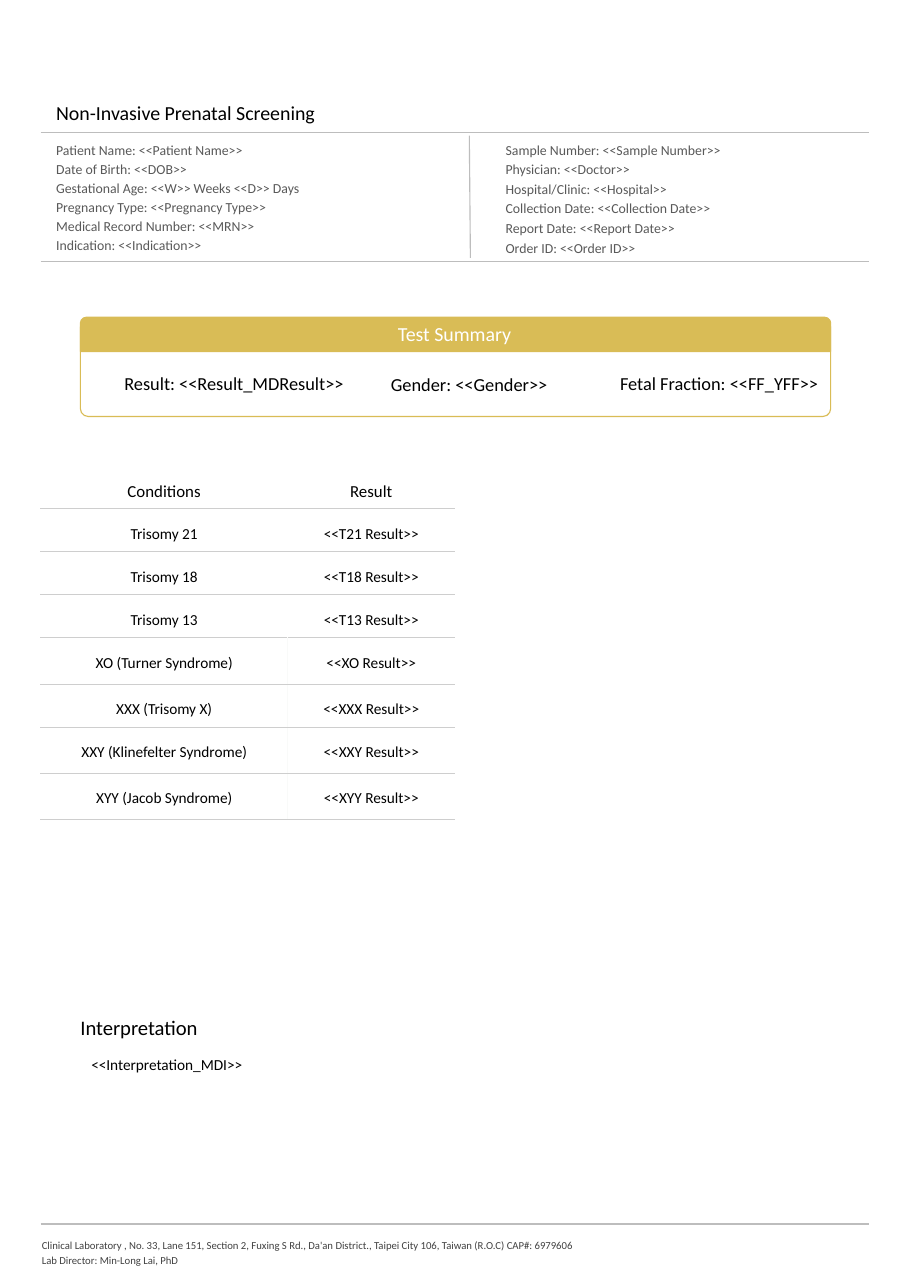
from dataclasses import dataclass

from lxml.etree import SubElement
from pptx import Presentation
from pptx.dml.color import RGBColor
from pptx.enum.shapes import MSO_CONNECTOR, MSO_SHAPE
from pptx.enum.text import MSO_ANCHOR, MSO_AUTO_SIZE, PP_ALIGN
from pptx.oxml import parse_xml
from pptx.oxml.ns import nsdecls, qn
from pptx.util import Inches, Pt


@dataclass(frozen=True)
class Theme:
    """Colours, font and type sizes of the report."""
    font: str = "Calibri"
    black: str = "000000"
    white: str = "FFFFFF"
    detail: str = "595959"
    footer: str = "414141"
    gold: str = "D9BC56"
    rule: str = "BDBDBD"
    row_rule: str = "CECECE"
    column_rule: str = "F9FAF9"
    line_width: float = 0.75
    title_size: float = 13
    heading_size: float = 13.5
    summary_size: float = 12
    header_size: float = 11
    body_size: float = 10
    detail_size: float = 9
    footer_size: float = 7


THEME = Theme()
LEFT, RIGHT = 0.37, 7.89
PANEL_LEFT, PANEL_WIDTH = 0.73, 6.81

PATIENT = [
    "Patient Name: <<Patient Name>>",
    "Date of Birth: <<DOB>>",
    "Gestational Age: <<W>> Weeks <<D>> Days",
    "Pregnancy Type: <<Pregnancy Type>>",
    "Medical Record Number: <<MRN>>",
    "Indication: <<Indication>>",
]
SAMPLE = [
    "Sample Number: <<Sample Number>>",
    "Physician: <<Doctor>>",
    "Hospital/Clinic: <<Hospital>>",
    "Collection Date: <<Collection Date>>",
    "Report Date: <<Report Date>>",
    "Order ID: <<Order ID>>",
]
FOOTER = [
    "Clinical Laboratory , No. 33, Lane 151, Section 2, Fuxing S Rd., Da'an District., "
    "Taipei City 106, Taiwan (R.O.C) CAP#: 6979606",
    "Lab Director: Min-Long Lai, PhD",
]
CONDITIONS = [
    ("Conditions", "Result", 0.37),
    ("Trisomy 21", "<<T21 Result>>", 0.39),
    ("Trisomy 18", "<<T18 Result>>", 0.39),
    ("Trisomy 13", "<<T13 Result>>", 0.39),
    ("XO (Turner Syndrome)", "<<XO Result>>", 0.42),
    ("XXX (Trisomy X)", "<<XXX Result>>", 0.39),
    ("XXY (Klinefelter Syndrome)", "<<XXY Result>>", 0.42),
    ("XYY (Jacob Syndrome)", "<<XYY Result>>", 0.42),
]
FIRST_SEX_ROW = 4


def inches(*lengths):
    """Convert several lengths to Inches."""
    return [Inches(length) for length in lengths]


def style_paragraph(paragraph, size, color, align=PP_ALIGN.LEFT, spacing=1.0):
    """Set alignment, line spacing and font of one paragraph."""
    paragraph.alignment = align
    paragraph.line_spacing = spacing
    font = paragraph.font
    font.name, font.size = THEME.font, Pt(size)
    font.color.rgb = RGBColor.from_string(color)


def fill_frame(frame, lines, size, color, insets=(0.01, 0.01, 0, 0), gap=0, wrap=True, **style):
    """Write lines into a top-anchored frame, with a gap in points between them."""
    frame.word_wrap = wrap
    frame.auto_size = MSO_AUTO_SIZE.NONE
    frame.vertical_anchor = MSO_ANCHOR.TOP
    frame.margin_left, frame.margin_top, frame.margin_right, frame.margin_bottom = inches(*insets)
    for index, line in enumerate(lines):
        paragraph = frame.add_paragraph() if index else frame.paragraphs[0]
        paragraph.text = line
        paragraph.space_before = Pt(gap if index else 0)
        style_paragraph(paragraph, size, color, **style)


def add_text(slide, box, lines, size, color, **options):
    """Add a text box."""
    fill_frame(slide.shapes.add_textbox(*inches(*box)).text_frame, lines, size, color, **options)


def add_title(slide, text):
    """Move and format the title placeholder."""
    title = slide.shapes.title
    title.left, title.top, title.width, title.height = inches(0.5, 0.89, 3.74, 0.23)
    fill_frame(title.text_frame, [text], THEME.title_size, THEME.black, insets=(0.01, 0.02, 0, 0))


def add_rule(slide, x1, y1, x2, y2):
    """Add a thin grey line."""
    rule = slide.shapes.add_connector(MSO_CONNECTOR.STRAIGHT, *inches(x1, y1, x2, y2))
    rule.line.color.rgb = RGBColor.from_string(THEME.rule)
    rule.line.width = Pt(THEME.line_width)
    SubElement(rule._element.spPr, qn("a:effectLst"))


def add_panel(slide, kind, top, height, radius, filled):
    """Add a gold rounded panel, filled or outlined."""
    panel = slide.shapes.add_shape(kind, *inches(PANEL_LEFT, top, PANEL_WIDTH, height))
    panel.shadow.inherit = False
    panel.adjustments[0] = radius
    gold = RGBColor.from_string(THEME.gold)
    if filled:
        panel.fill.solid()
        panel.fill.fore_color.rgb = gold
    else:
        panel.fill.background()
    panel.line.color.rgb = gold
    panel.line.width = Pt(THEME.line_width)


def add_summary(slide):
    """Add the test summary panel with its three values."""
    add_panel(slide, MSO_SHAPE.ROUNDED_RECTANGLE, 2.9, 0.88, 0.08, filled=False)
    add_panel(slide, MSO_SHAPE.ROUND_2_SAME_RECTANGLE, 2.88, 0.31, 0.17, filled=True)
    add_text(slide, (2.49, 2.82, 3.27, 0.42), ["Test Summary"], THEME.title_size, THEME.white,
             insets=(0.1,) * 4, align=PP_ALIGN.CENTER)
    for left, top, width, value, wrap in [
        (1.03, 3.33, 2.32, "Result: <<Result_MDResult>>", True),
        (3.45, 3.34, 1.87, "Gender: <<Gender>>", True),
        (5.53, 3.33, 2.03, "Fetal Fraction: <<FF_YFF>>", False),
    ]:
        add_text(slide, (left, top, width, 0.3), [value], THEME.summary_size, THEME.black,
                 insets=(0.1, 0.05, 0.1, 0.05), wrap=wrap)


def set_borders(cell, **colors):
    """Give a cell its left, right, top and bottom borders, in that order."""
    properties = cell._tc.get_or_add_tcPr()
    for position, (side, color) in enumerate(colors.items()):
        properties.insert(position, parse_xml(
            f'<a:ln{side} {nsdecls("a")} w="{Pt(THEME.line_width)}"><a:solidFill>'
            f'<a:srgbClr val="{color}"/></a:solidFill></a:ln{side}>'))


def add_conditions(slide):
    """Add the table of conditions and results."""
    total = sum(height for _, _, height in CONDITIONS)
    table = slide.shapes.add_table(len(CONDITIONS), 2, *inches(LEFT, 4.25, 3.76, total)).table
    table.first_row = table.horz_banding = False
    table.columns[0].width, table.columns[1].width = inches(2.24, 1.52)
    for row, (condition, result, height) in enumerate(CONDITIONS):
        table.rows[row].height = Inches(height)
        middle = THEME.column_rule if row >= FIRST_SEX_ROW else THEME.white
        header = row == 0
        for column, text in enumerate((condition, result)):
            cell = table.cell(row, column)
            cell.text = text
            cell.margin_left = cell.margin_right = cell.margin_bottom = 0
            cell.margin_top = Inches(0.12 if header else 0.06)
            cell.fill.solid()
            cell.fill.fore_color.rgb = RGBColor.from_string(THEME.white)
            style_paragraph(cell.text_frame.paragraphs[0],
                            THEME.header_size if header else THEME.body_size,
                            THEME.black, PP_ALIGN.CENTER, 1.0 if header else 1.5)
            set_borders(cell,
                        L=middle if column else THEME.white,
                        R=THEME.white if column else middle,
                        T=THEME.white if header else THEME.row_rule,
                        B=THEME.row_rule)


def main():
    """Build the screening report and save it."""
    report = Presentation()
    report.slide_width, report.slide_height = inches(8.26, 11.69)
    slide = report.slides.add_slide(report.slide_layouts[5])
    add_title(slide, "Non-Invasive Prenatal Screening")
    for y in (1.2, 2.37, 11.11):
        add_rule(slide, LEFT, y, RIGHT, y)
    add_rule(slide, 4.26, 1.23, 4.27, 2.34)
    for left, details, gap in ((0.5, PATIENT, 0), (4.58, SAMPLE, 0.4)):
        add_text(slide, (left, 1.25, 3.13, 1.06), details, THEME.detail_size, THEME.detail,
                 gap=gap, spacing=1.15)
    add_summary(slide)
    add_conditions(slide)
    add_text(slide, (PANEL_LEFT, 9.19, 1.28, 0.25), ["Interpretation"], THEME.heading_size,
             THEME.black, insets=(0, 0.02, 0, 0))
    add_text(slide, (PANEL_LEFT, 9.48, PANEL_WIDTH, 0.37), ["<<Interpretation_MDI>>"],
             THEME.body_size, THEME.black, insets=(0.1,) * 4)
    add_text(slide, (LEFT, 11.21, 5.97, 0.46), FOOTER, THEME.footer_size, THEME.footer, spacing=1.19)
    report.save("out.pptx")


if __name__ == "__main__":
    main()
